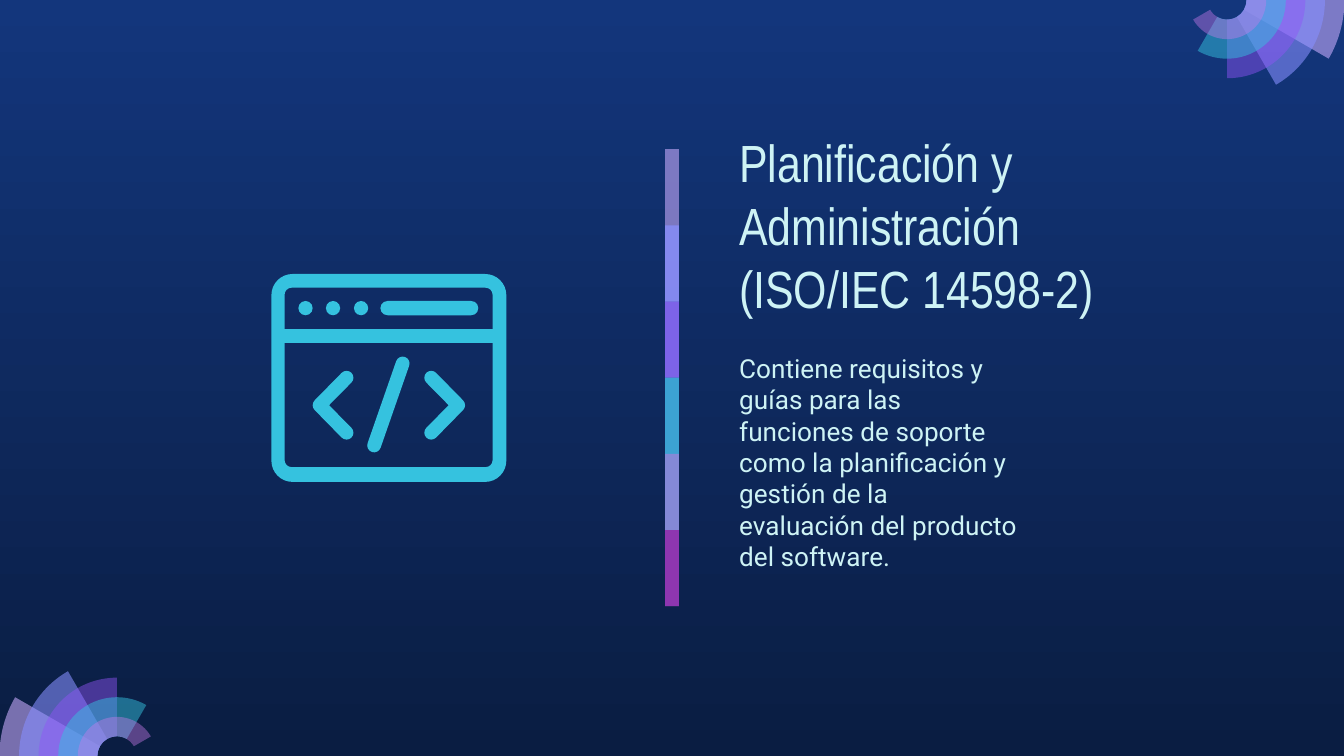
import copy
import math
from lxml import etree
from pptx import Presentation, util as u
from pptx.dml.color import RGBColor
from pptx.enum import shapes, text
from pptx.oxml.ns import qn

COLORS = {
    "sky": "13367C", "night": "0A1D42", "ice": "CEF3F5", "cyan": "35C2DF",
    "lilac": "C8ACFD", "periwinkle": "878FFF", "violet": "9154F8",
    "orchid": "CA7BEB", "purple": "972CB4",
}


def paint(shape, color, alpha=100):
    """Flat fill with an opacity in percent, no outline and no shadow."""
    shape.shadow.inherit = False
    shape.line.fill.background()
    shape.fill.solid()
    shape.fill.fore_color.rgb = RGBColor.from_string(COLORS[color])
    if alpha < 100:
        rgb = shape._element.spPr.find(qn("a:solidFill"))[0]
        etree.SubElement(rgb, qn("a:alpha"), val=str(alpha * 1000))


def write_text(shape, words, box, font, size, color, anchor):
    shape.left, shape.top, shape.width, shape.height = map(u.Cm, box)
    frame = shape.text_frame
    frame.word_wrap = True
    frame.auto_size = text.MSO_AUTO_SIZE.NONE
    frame.vertical_anchor = anchor
    frame.margin_left = frame.margin_right = u.Cm(0.25)
    frame.margin_top = frame.margin_bottom = u.Cm(0.25)
    paragraph = frame.paragraphs[0]
    paragraph.text = words
    paragraph.alignment = text.PP_ALIGN.LEFT
    paragraph.space_before = u.Pt(0)
    properties = paragraph._p.get_or_add_pPr()
    properties.set("marL", "0")
    properties.set("indent", "0")
    etree.SubElement(properties, qn("a:buNone"))
    for run in paragraph.runs:
        run.font.name = font
        run.font.size = u.Pt(size)
        run.font.color.rgb = RGBColor.from_string(COLORS[color])
    # Line breaks take the format of the words around them
    for line_break in paragraph._p.findall(qn("a:br")):
        line_break.append(copy.deepcopy(paragraph.runs[0]._r.rPr))


presentation = Presentation()
presentation.slide_width = u.Cm(25.4)
presentation.slide_height = u.Cm(14.29)
slide = presentation.slides.add_slide(presentation.slide_layouts[1])

# Background, dark towards the bottom
background = slide.background.fill
background.gradient()
background.gradient_angle = 270
for stop, color, position in zip(background.gradient_stops, ("sky", "night"), (0, 1)):
    stop.color.rgb = RGBColor.from_string(COLORS[color])
    stop.position = position

# Divider: each translucent bar reaches halfway under the next one
step = 1.44
bars = [("lilac", 59), ("periwinkle", 74), ("violet", 53),
        ("cyan", 76), ("orchid", 56), ("purple", 74)]
for row, (color, alpha) in enumerate(bars):
    height = step if row == len(bars) - 1 else 2 * step
    bar = slide.shapes.add_shape(
        shapes.MSO_SHAPE.RECTANGLE, u.Cm(12.57), u.Cm(2.82 + row * step),
        u.Cm(0.26), u.Cm(height))
    paint(bar, color, alpha)

# Title and body
write_text(slide.shapes.title, "Planificación y Administración\v(ISO/IEC 14598-2)",
           box=(13.72, 3.59, 8.1, 2.69), font="Arial Narrow", size=28,
           color="ice", anchor=text.MSO_ANCHOR.BOTTOM)
write_text(slide.placeholders[1],
           "Contiene requisitos y guías para las funciones de soporte como la "
           "planificación y gestión de la evaluación del producto del software.",
           box=(13.72, 6.41, 5.79, 5.38), font="Roboto", size=14,
           color="ice", anchor=text.MSO_ANCHOR.TOP)

# Dots and address bar of the browser icon
for left, width in ((5.64, 0.27), (6.16, 0.27), (6.69, 0.27), (7.19, 1.85)):
    pill = slide.shapes.add_shape(
        shapes.MSO_SHAPE.ROUNDED_RECTANGLE, u.Cm(left), u.Cm(5.69),
        u.Cm(width), u.Cm(0.27))
    pill.adjustments[0] = 0.5
    paint(pill, "cyan")

# Outlines: contours made of arcs (x, y, radius, from, to) joined by lines
outlines = []

# Browser window: outer edge, then two panes with their corner radii
window = []
for left, top, right, bottom, upper, lower in (
        (5.13, 5.18, 9.57, 9.11, 0.4, 0.4),
        (5.38, 5.44, 9.31, 6.22, 0.13, 0),
        (5.38, 6.48, 9.31, 8.83, 0, 0.13)):
    window.append([
        (left + upper, top + upper, upper, 180, 270),
        (right - upper, top + upper, upper, 270, 360),
        (right - lower, bottom - lower, lower, 0, 90),
        (left + lower, bottom - lower, lower, 90, 180)])
outlines.append((window, "cyan", 100))

# Code brackets and slash
stroke = 0.13
bracket = [(8.15, 7.14, stroke, 135, 315), (8.66, 7.66, stroke, -45, 45),
           (8.15, 8.18, stroke, 45, 225), (8.48, 7.66, 0, 0, 0)]
mirrored = [(14.7 - x, y, radius, 180 - start, 180 - end)
            for x, y, radius, start, end in bracket]
slash = [(7.61, 6.87, stroke, -161, 19), (7.07, 8.42, stroke, 19, 199)]
outlines += [([part], "cyan", 100) for part in (bracket, mirrored, slash)]

# Corner fans: every ring is narrower and sweeps 30 degrees further
ring = 0.37
blades = [("lilac", 58), ("periwinkle", 58), ("violet", 46), ("cyan", 49), ("orchid", 42)]
for x, y, start in ((2.21, 14.29, 180), (23.19, 0, 0)):
    for number, (color, alpha) in enumerate(blades):
        end = start + 30 * (number + 1)
        sector = [(x, y, (6 - number) * ring, start, end), (x, y, ring, end, start)]
        outlines.append(([sector], color, alpha))

# Draw the outlines, each arc as Bézier curves of a quarter turn at most
for contours, color, alpha in outlines:
    builder = None
    curved = []
    for contour in contours:
        points = []
        for x, y, radius, start, end in contour:
            pieces = math.ceil(abs(end - start) / 90) if radius else 0
            turn = math.radians(end - start) / max(pieces, 1)
            handle = 4 / 3 * math.tan(turn / 4)
            angle = math.radians(start)
            points.append((x + radius * math.cos(angle), y + radius * math.sin(angle)))
            curved.append(False)
            for piece in range(pieces):
                for along, tangent in ((0, handle), (turn, -handle), (turn, 0)):
                    cosine, sine = math.cos(angle + along), math.sin(angle + along)
                    points.append((x + radius * (cosine - tangent * sine),
                                   y + radius * (sine + tangent * cosine)))
                curved += [True] * 3
                angle += turn
        points = [(u.Cm(x), u.Cm(y)) for x, y in points]
        if builder is None:
            builder = slide.shapes.build_freeform(*points[0])
        else:
            builder.move_to(*points[0])
        builder.add_line_segments(points[1:], close=True)
    shape = builder.convert_to_shape()
    # Every three curved points become one Bézier segment
    segments = [node for node in shape._element.iter(qn("a:moveTo"), qn("a:lnTo"))]
    bends = [node for node, bent in zip(segments, curved) if bent]
    for first, second, third in zip(bends[::3], bends[1::3], bends[2::3]):
        curve = etree.Element(qn("a:cubicBezTo"))
        first.addprevious(curve)
        for node in (first, second, third):
            curve.append(node[0])
            node.getparent().remove(node)
    paint(shape, color, alpha)

presentation.save("out.pptx")
